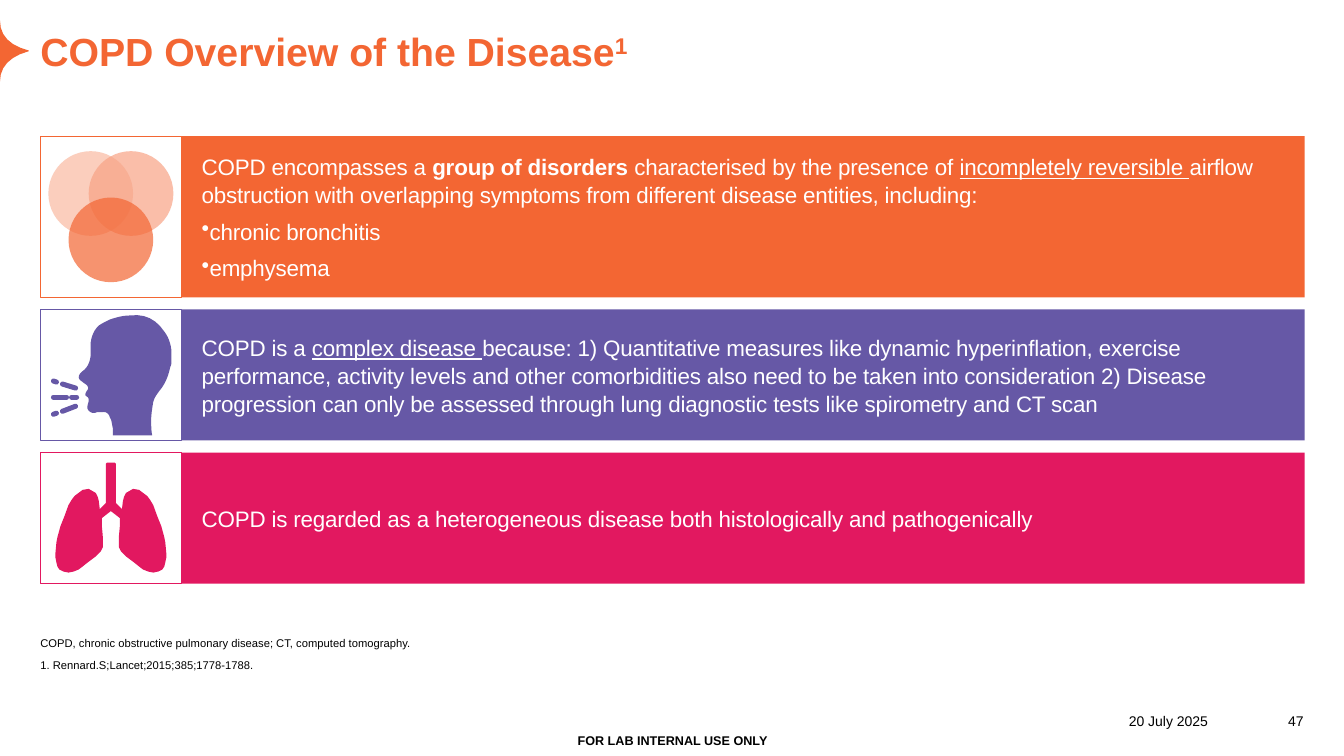
"""Build the COPD disease overview slide."""
from dataclasses import dataclass
from typing import Any

import lxml.etree
import pptx
import pptx.dml.color
import pptx.enum.shapes
import pptx.enum.text
import pptx.oxml.ns
import pptx.util

Inches = pptx.util.Inches
Pt = pptx.util.Pt
Shapes = pptx.enum.shapes.MSO_SHAPE
Anchor = pptx.enum.text.MSO_ANCHOR
Align = pptx.enum.text.PP_ALIGN
qn = pptx.oxml.ns.qn
Point = tuple[float, float]

COLORS = {
    "orange": "F36633", "peach": "FAC2AD", "salmon": "F8A385", "purple": "6658A6",
    "pink": "E21860", "white": "FFFFFF", "black": "000000",
}
LEFT, ICON_WIDTH, PANEL_WIDTH = 0.4, 1.4, 11.14
CURVE_STEPS = 6


@dataclass
class Span:
    text: str
    bold: bool = False
    underline: bool = False
    superscript: bool = False


@dataclass
class Panel:
    top: float
    height: float
    color: str
    intro: list[Span]
    bullets: tuple[str, ...] = ()


@dataclass
class Caption:
    box: tuple[float, float, float, float]
    paragraphs: list[list[Span]]
    size: float
    color: str = "black"
    align: Any = Align.LEFT
    anchor: Any = Anchor.BOTTOM
    gap: float = 0


@dataclass
class Circle:
    left: float
    top: float
    color: str
    opacity: int


PANELS = [
    Panel(1.35, 1.6, "orange", [
        Span("COPD encompasses a "), Span("group of disorders ", bold=True),
        Span("characterised by the presence of "),
        Span("incompletely reversible ", underline=True),
        Span("airflow obstruction with overlapping symptoms from different "
             "disease entities, including:")],
        ("chronic bronchitis", "emphysema")),
    Panel(3.07, 1.3, "purple", [
        Span("COPD is a "), Span("complex disease ", underline=True),
        Span("because: 1) Quantitative measures like dynamic hyperinflation, exercise "
             "performance, activity levels and other comorbidities also need to be taken "
             "into consideration 2) Disease progression can only be assessed through lung "
             "diagnostic tests like spirometry and CT scan")]),
    Panel(4.49, 1.3, "pink", [
        Span("COPD is regarded as a heterogeneous disease both histologically "
             "and pathogenically")]),
]
CAPTIONS = [
    Caption((12.34, 6.94, 0.59, 0.3), [[Span("47")]], 10, align=Align.RIGHT),
    Caption((8.94, 6.94, 3.04, 0.3), [[Span("20 July 2025")]], 10, align=Align.RIGHT),
    Caption((0.4, 6.33, 12.53, 0.33), [
        [Span("COPD, chronic obstructive pulmonary disease; CT, computed tomography.")],
        [Span("1. Rennard.S;Lancet;2015;385;1778-1788.")]], 8, gap=3),
    Caption((0.4, 0.27, 12.53, 0.47), [
        [Span("COPD Overview of the Disease", bold=True),
         Span("1", bold=True, superscript=True)]], 28, "orange"),
    Caption((5.15, 7.2, 3.04, 0.3), [[Span("FOR LAB INTERNAL USE ONLY", bold=True)]],
            9, align=Align.CENTER, anchor=Anchor.MIDDLE),
]
DISORDERS = [
    Circle(0.48, 1.5, "peach", 80), Circle(0.88, 1.5, "salmon", 70),
    Circle(0.68, 1.96, "orange", 70),
]
CORNER_MARK = [
    (0, 0.2), (0, 0.36), (0.1, 0.45), (0.28, 0.5), (0.29, 0.5), (0.29, 0.51),
    (0.28, 0.51), (0.1, 0.56), (0, 0.66), (0, 0.81),
]
HEAD = [
    (1.12, 4.32), (1.12, 4.3), (1.12, 4.28), (1.12, 4.25), (1.11, 4.21), (1.11, 4.17),
    (1.09, 4.14), (1.08, 4.1), (1.05, 4.08), (1.01, 4.09), (1, 4.09), (0.98, 4.09),
    (0.96, 4.09), (0.94, 4.1), (0.92, 4.1), (0.9, 4.09), (0.87, 4.07), (0.86, 4.05),
    (0.87, 4.02), (0.87, 4.01), (0.88, 3.99), (0.88, 3.98), (0.88, 3.96), (0.88, 3.95),
    (0.87, 3.94), (0.84, 3.92), (0.84, 3.92), (0.86, 3.88), (0.88, 3.86), (0.88, 3.84),
    (0.86, 3.82), (0.85, 3.81), (0.83, 3.8), (0.82, 3.79), (0.77, 3.76), (0.77, 3.73),
    (0.81, 3.69), (0.87, 3.65), (0.89, 3.6), (0.9, 3.53), (0.9, 3.49), (0.9, 3.44),
    (0.9, 3.4), (0.91, 3.33), (0.93, 3.28), (0.98, 3.23), (1.01, 3.21), (1.05, 3.19),
    (1.09, 3.17), (1.15, 3.15), (1.22, 3.13), (1.29, 3.13), (1.44, 3.11), (1.55, 3.17),
    (1.63, 3.29), (1.67, 3.34), (1.69, 3.4), (1.7, 3.47), (1.7, 3.51), (1.7, 3.55),
    (1.7, 3.59), (1.7, 3.61), (1.7, 3.62), (1.69, 3.64), (1.67, 3.73), (1.64, 3.81),
    (1.58, 3.88), (1.55, 3.92), (1.53, 3.95), (1.52, 3.99), (1.51, 4.05), (1.5, 4.11),
    (1.5, 4.17), (1.5, 4.22), (1.5, 4.27), (1.51, 4.32),
]
COUGH = [
    ((0.62, 3.81), (0.75, 3.85)), ((0.53, 3.78), (0.56, 3.79)),
    ((0.53, 3.94), (0.66, 3.94)), ((0.71, 3.94), (0.76, 3.94)),
    ((0.62, 4.08), (0.75, 4.03)), ((0.53, 4.11), (0.56, 4.1)),
]
LUNG_AXIS = 1.1
LEFT_LUNG = [
    (1.06, 4.59), (1.05, 4.6), (1.05, 4.99), (0.99, 5.05), (0.98, 4.97), (0.97, 4.93),
    (0.95, 4.89), (0.88, 4.85), (0.82, 4.86), (0.78, 4.89), (0.74, 4.92), (0.71, 4.96),
    (0.68, 5.01), (0.64, 5.12), (0.6, 5.22), (0.57, 5.33), (0.56, 5.38), (0.55, 5.49),
    (0.55, 5.53), (0.56, 5.58), (0.57, 5.62), (0.59, 5.65), (0.63, 5.67), (0.68, 5.68),
    (0.73, 5.67), (0.78, 5.65), (0.82, 5.62), (0.87, 5.58), (0.95, 5.52), (1, 5.47),
    (1.02, 5.43), (1.02, 5.32), (1.01, 5.21), (1.01, 5.14), (1.1, 5.07),
]


def rgb(color: str) -> pptx.dml.color.RGBColor:
    """Return a named colour."""
    return pptx.dml.color.RGBColor.from_string(COLORS[color])


def paint(shape: Any, fill: str | None, line: str | None = None) -> None:
    """Set the fill and outline and remove the shadow."""
    shape.shadow.inherit = False
    if fill:
        shape.fill.solid()
        shape.fill.fore_color.rgb = rgb(fill)
    else:
        shape.fill.background()
    if line:
        shape.line.color.rgb = rgb(line)
        shape.line.width = Pt(0.5)
    else:
        shape.line.fill.background()


def curve(points: list[Point]) -> list[Point]:
    """Sample a chain of cubic Bezier segments."""
    outline = [points[0]]
    for first in range(0, len(points) - 1, 3):
        a, b, c, d = points[first:first + 4]
        for step in range(1, CURVE_STEPS + 1):
            t = step / CURVE_STEPS
            u = 1 - t
            weights = (u**3, 3 * u * u * t, 3 * u * t * t, t**3)
            outline.append((sum(w * p[0] for w, p in zip(weights, (a, b, c, d))),
                            sum(w * p[1] for w, p in zip(weights, (a, b, c, d)))))
    return outline


def draw_outline(slide: Any, points: list[Point], color: str) -> None:
    """Draw a filled closed outline."""
    corners = [(Inches(x), Inches(y)) for x, y in points]
    builder = slide.shapes.build_freeform(*corners[0])
    builder.add_line_segments(corners[1:], close=True)
    paint(builder.convert_to_shape(), color)


def write(paragraph: Any, spans: list[Span], size: float, color: str,
          spacing: int = 0) -> None:
    """Fill a paragraph with formatted runs."""
    for span in spans:
        run = paragraph.add_run()
        run.text = span.text
        run.font.name, run.font.size = "Arial", Pt(size)
        run.font.bold, run.font.underline = span.bold, span.underline
        run.font.color.rgb = rgb(color)
        properties = run.font._element
        if spacing:
            properties.set("spc", str(spacing))
        if span.superscript:
            properties.set("baseline", "30000")


def add_bullet(paragraph: Any) -> None:
    """Give a paragraph its bullet, indent and tab stop."""
    properties = paragraph._p.get_or_add_pPr()
    properties.set("marL", str(Inches(0.01)))
    properties.set("indent", str(Inches(-0.31)))
    lxml.etree.SubElement(properties, qn("a:buChar"), char="•")
    tabs = lxml.etree.SubElement(properties, qn("a:tabLst"))
    lxml.etree.SubElement(tabs, qn("a:tab"), pos=str(Inches(0.95)), algn="l")


def draw_panel(slide: Any, panel: Panel) -> None:
    """Draw an icon frame and its text panel."""
    top, height = Inches(panel.top), Inches(panel.height)
    frame = slide.shapes.add_shape(
        Shapes.RECTANGLE, Inches(LEFT), top, Inches(ICON_WIDTH), height)
    paint(frame, None, panel.color)
    body = slide.shapes.add_shape(
        Shapes.RECTANGLE, Inches(LEFT + ICON_WIDTH), top, Inches(PANEL_WIDTH), height)
    paint(body, panel.color)
    text = body.text_frame
    text.word_wrap, text.vertical_anchor = True, Anchor.MIDDLE
    text.margin_left = Inches(0.2)
    text.margin_right = text.margin_top = text.margin_bottom = Inches(0.1)
    for index, spans in enumerate([panel.intro, *([Span(b)] for b in panel.bullets)]):
        paragraph = text.add_paragraph() if index else text.paragraphs[0]
        if index:
            add_bullet(paragraph)
        paragraph.alignment = Align.LEFT
        paragraph.space_after, paragraph.line_spacing = Pt(6), 1.05
        write(paragraph, spans, 16, "white", -10)


def draw_caption(slide: Any, caption: Caption) -> None:
    """Draw a text box without margins."""
    text = slide.shapes.add_textbox(*map(Inches, caption.box)).text_frame
    text.word_wrap, text.vertical_anchor = True, caption.anchor
    text.margin_left = text.margin_right = text.margin_top = text.margin_bottom = 0
    for index, spans in enumerate(caption.paragraphs):
        paragraph = text.add_paragraph() if index else text.paragraphs[0]
        paragraph.alignment = caption.align
        paragraph.space_before = Pt(caption.gap if index else 0)
        paragraph.space_after = Pt(caption.gap)
        write(paragraph, spans, caption.size, caption.color)


def draw_circle(slide: Any, circle: Circle) -> None:
    """Draw one translucent circle of the overlap diagram."""
    oval = slide.shapes.add_shape(Shapes.OVAL, Inches(circle.left), Inches(circle.top),
                                  Inches(0.84), Inches(0.84))
    paint(oval, circle.color)
    tint = oval.fill._xPr.find(".//" + qn("a:srgbClr"))
    lxml.etree.SubElement(tint, qn("a:alpha"), val=str(circle.opacity * 1000))


def draw_dash(slide: Any, start: Point, end: Point) -> None:
    """Draw one round-ended cough stroke."""
    dash = slide.shapes.add_connector(
        pptx.enum.shapes.MSO_CONNECTOR.STRAIGHT, *map(Inches, (*start, *end)))
    dash.line.color.rgb = rgb("purple")
    dash.line.width = Pt(3.6)
    dash.line._get_or_add_ln().set("cap", "rnd")
    lxml.etree.SubElement(dash._element.spPr, qn("a:effectLst"))


def main() -> None:
    """Assemble and save the slide."""
    deck = pptx.Presentation()
    deck.slide_width, deck.slide_height = Inches(13.33), Inches(7.5)
    slide = deck.slides.add_slide(deck.slide_layouts[6])
    draw_outline(slide, curve(CORNER_MARK), "orange")
    for panel in PANELS:
        draw_panel(slide, panel)
    for circle in DISORDERS:
        draw_circle(slide, circle)
    draw_outline(slide, curve(HEAD), "purple")
    for start, end in COUGH:
        draw_dash(slide, start, end)
    right_lung = [(2 * LUNG_AXIS - x, y) for x, y in reversed(LEFT_LUNG)]
    draw_outline(slide, LEFT_LUNG + right_lung, "pink")
    for caption in CAPTIONS:
        draw_caption(slide, caption)
    deck.save("out.pptx")


if __name__ == "__main__":
    main()
